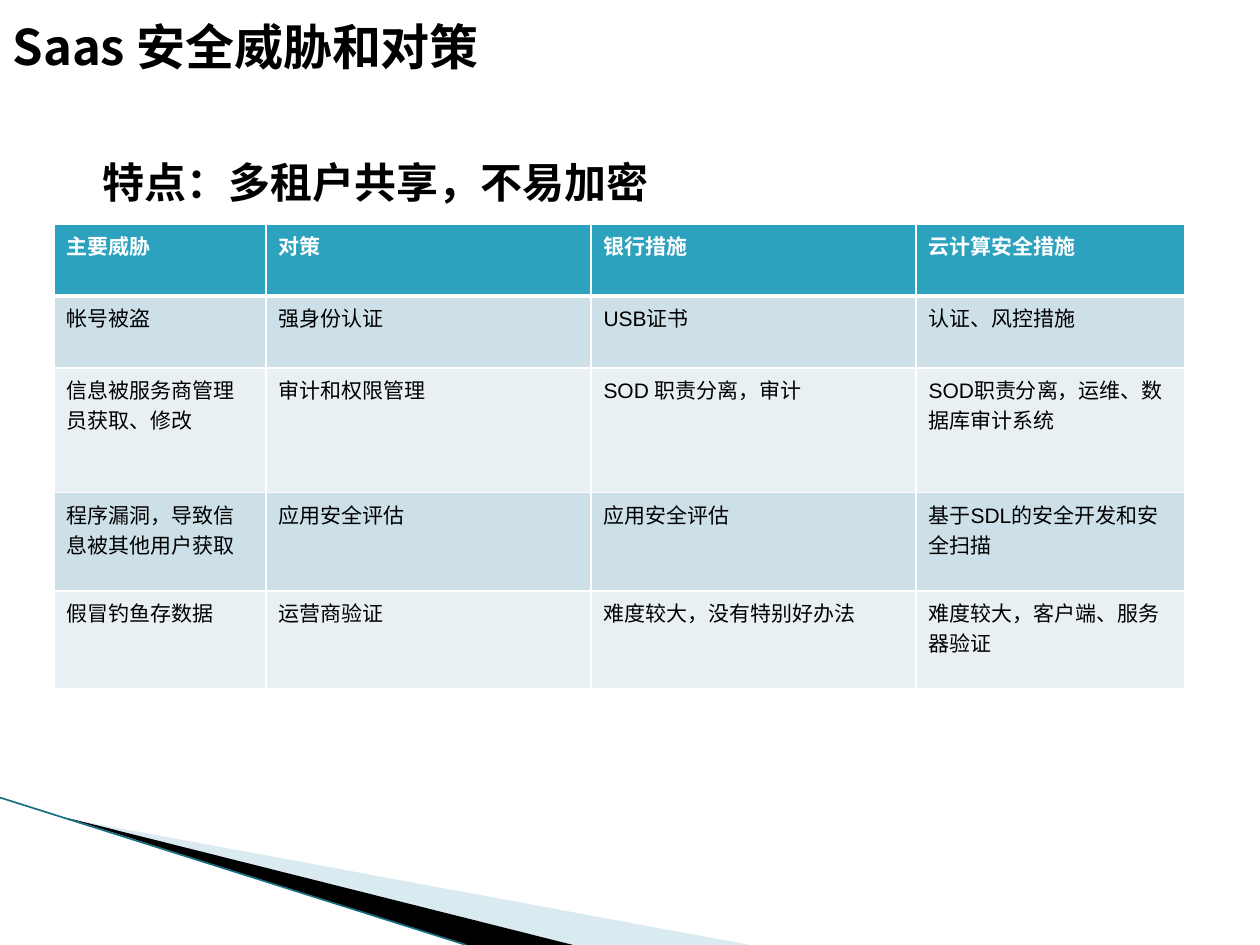
from lxml.etree import SubElement
from pptx import Presentation
from pptx.dml.color import RGBColor
from pptx.enum.shapes import MSO_CONNECTOR
from pptx.enum.text import MSO_ANCHOR as Anchor, PP_ALIGN as Align
from pptx.oxml.ns import qn
from pptx.util import Inches, Pt

BLACK = RGBColor(0x00, 0x00, 0x00)
WHITE = RGBColor(0xFF, 0xFF, 0xFF)
TEAL = RGBColor(0x2D, 0xA2, 0xBF)
DARK_TEAL = RGBColor(0x1A, 0x6E, 0x82)
PALE_TEAL = RGBColor(0xA0, 0xCB, 0xDC)
BAND_DARK = RGBColor(0xCD, 0xE0, 0xE8)
BAND_LIGHT = RGBColor(0xE8, 0xF0, 0xF4)
CJK = "Noto Sans CJK SC"


def write(frame, text, size, color=BLACK, bold=False, font=CJK, align=Align.LEFT,
          anchor=Anchor.TOP):
    """Put one formatted paragraph into a text frame and return it."""
    frame.word_wrap = True
    frame.vertical_anchor = anchor
    para = frame.paragraphs[0]
    para.alignment = align
    span = para.add_run()
    span.text = text
    span.font.size = Pt(size)
    span.font.bold = bold
    span.font.color.rgb = color
    span.font.name = font
    SubElement(span.font._element, qn("a:ea"), typeface=CJK)
    return para


def add_wedge(page, points, color, opacity=100):
    """Draw a filled outline without a border."""
    start, *rest = [(Inches(x), Inches(y)) for x, y in points]
    builder = page.shapes.build_freeform(*start)
    builder.add_line_segments(rest, close=True)
    wedge = builder.convert_to_shape()
    wedge.shadow.inherit = False
    wedge.fill.solid()
    wedge.fill.fore_color.rgb = color
    wedge.line.fill.background()
    if opacity < 100:
        tint = wedge.fill._xPr.find(".//" + qn("a:srgbClr"))
        SubElement(tint, qn("a:alpha"), val=str(opacity * 1000))


deck = Presentation()
deck.slide_width, deck.slide_height = Inches(10), Inches(7.5)
page = deck.slides.add_slide(deck.slide_layouts[1])

# Corner decoration
add_wedge(page, [(0.55, 6.5), (5.95, 7.5), (4.56, 7.5)], PALE_TEAL, opacity=40)
add_wedge(page, [(0.53, 6.49), (4.55, 7.5), (3.7, 7.5)], BLACK)
edge = page.shapes.add_connector(MSO_CONNECTOR.STRAIGHT, Inches(0), Inches(6.33),
                                 Inches(3.7), Inches(7.5))
edge.line.color.rgb = DARK_TEAL
edge.line.width = Pt(0.95)
SubElement(edge._element.spPr, qn("a:effectLst"))

# Title
title = page.shapes.title
title.left, title.top, title.width, title.height = map(Inches, (0, 0.08, 5.47, 0.57))
write(title.text_frame, "Saas 安全威胁和对策", 28, bold=True, anchor=Anchor.MIDDLE)

# Key point
body = page.placeholders[1]
body.left, body.top, body.width, body.height = map(Inches, (0.28, 0.99, 9.21, 0.64))
para = write(body.text_frame, "特点：多租户共享，不易加密", 24, bold=True,
             align=Align.JUSTIFY)
para.line_spacing = 1.5
para.space_before, para.space_after = Pt(0), Pt(6)
properties = para._p.get_or_add_pPr()
properties.set("marL", str(Inches(0.7)))
properties.set("indent", str(Inches(-0.27)))
SubElement(properties, qn("a:buNone"))

# Threat table
ROWS = [
    ("主要威胁", "对策", "银行措施", "云计算安全措施"),
    ("帐号被盗", "强身份认证", "USB证书", "认证、风控措施"),
    ("信息被服务商管理员获取、修改", "审计和权限管理", "SOD 职责分离，审计",
     "SOD职责分离，运维、数据库审计系统"),
    ("程序漏洞，导致信息被其他用户获取", "应用安全评估", "应用安全评估",
     "基于SDL的安全开发和安全扫描"),
    ("假冒钓鱼存数据", "运营商验证", "难度较大，没有特别好办法",
     "难度较大，客户端、服务器验证"),
]
COLUMN_WIDTHS = (1.68, 2.58, 2.58, 2.13)
ROW_HEIGHTS = (0.57, 0.57, 0.99, 0.78, 0.78)

table = page.shapes.add_table(
    len(ROWS), len(COLUMN_WIDTHS), Inches(0.43), Inches(1.78),
    Inches(sum(COLUMN_WIDTHS)), Inches(sum(ROW_HEIGHTS))).table
for column, width in zip(table.columns, COLUMN_WIDTHS):
    column.width = Inches(width)

for r, (texts, height) in enumerate(zip(ROWS, ROW_HEIGHTS)):
    table.rows[r].height = Inches(height)
    header = r == 0
    fill = TEAL if header else BAND_DARK if r % 2 else BAND_LIGHT
    heavy_side = {0: "lnB", 1: "lnT"}.get(r)
    for c, text in enumerate(texts):
        cell = table.cell(r, c)
        write(cell.text_frame, text, 12, color=WHITE if header else BLACK,
              bold=header, font="Arial")
        # Borders come before the fill in the cell properties
        cell_properties = cell._tc.get_or_add_tcPr()
        for side in ("lnL", "lnR", "lnT", "lnB"):
            width = Pt(3 if side == heavy_side else 1)
            border = SubElement(cell_properties, qn("a:" + side), w=str(width))
            paint = SubElement(border, qn("a:solidFill"))
            SubElement(paint, qn("a:srgbClr"), val=str(WHITE))
        cell.fill.solid()
        cell.fill.fore_color.rgb = fill

deck.save("out.pptx")
